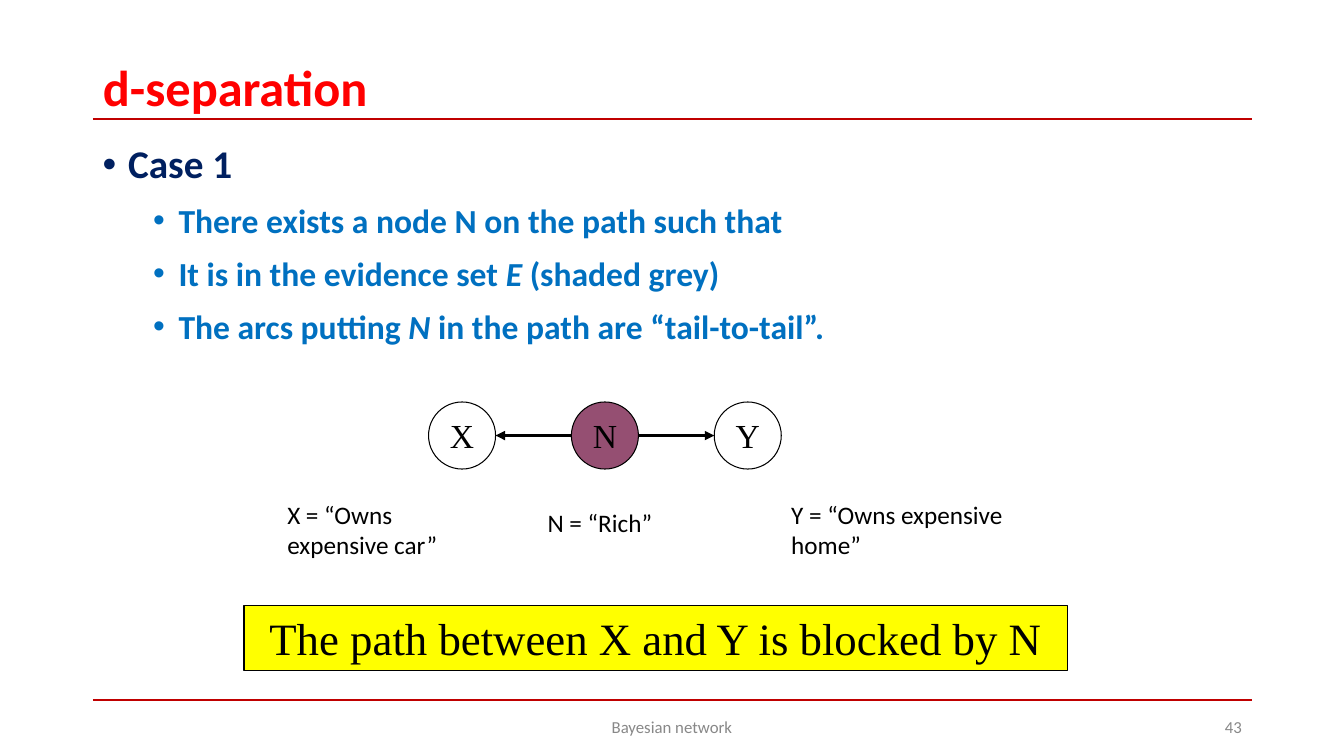
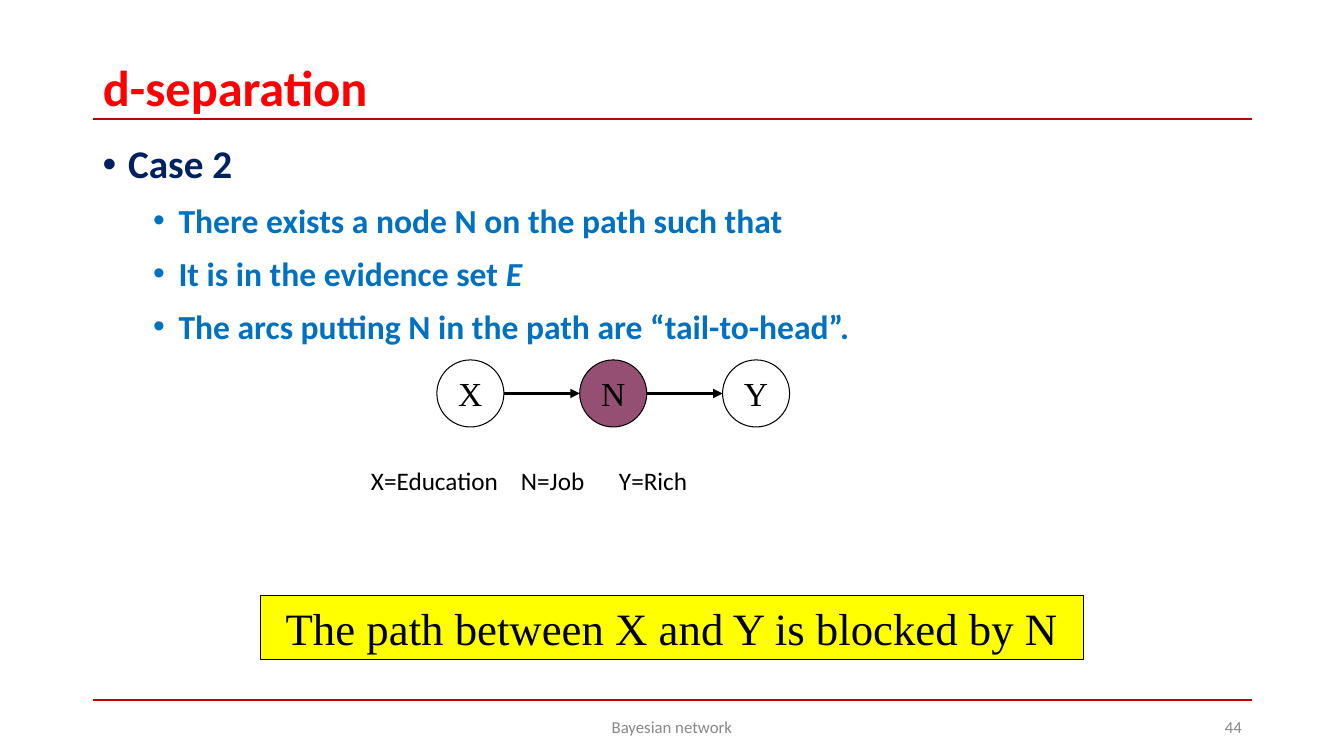
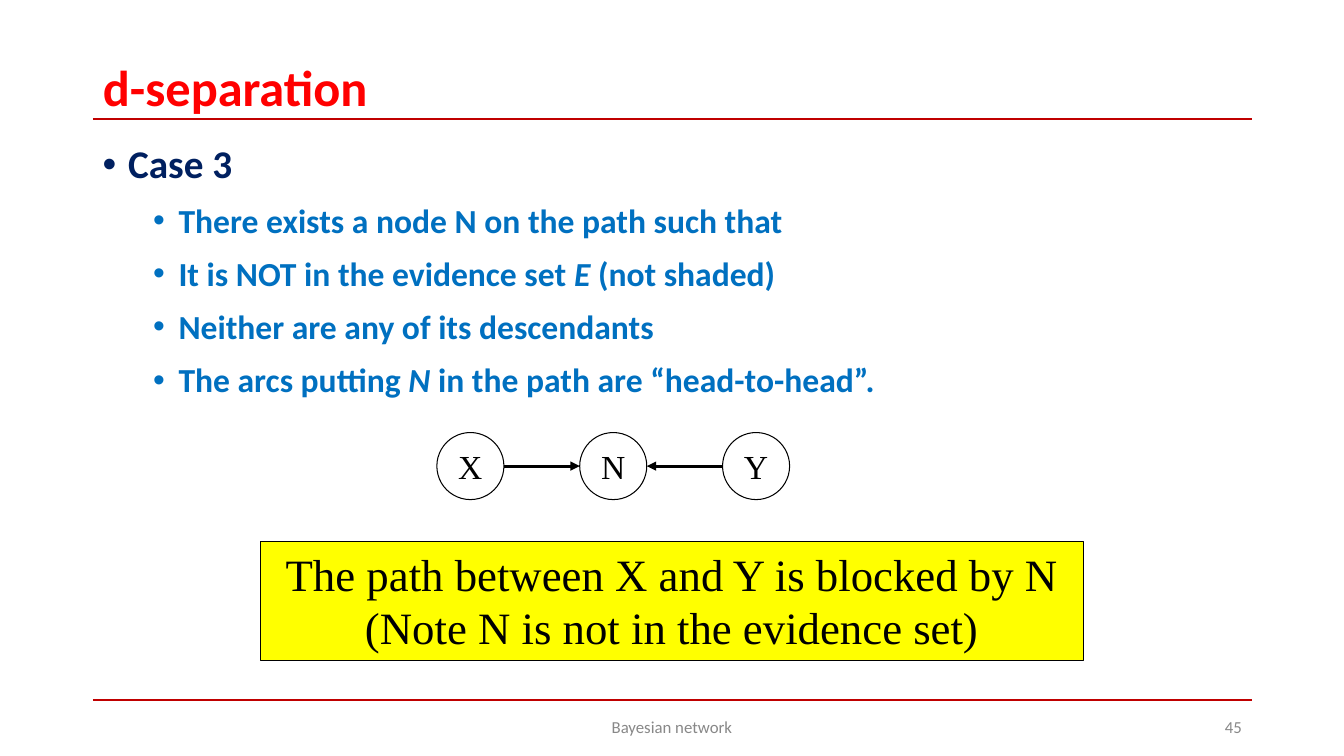
"""Build three slides on the blocking cases of d-separation."""
from dataclasses import dataclass

from lxml import etree
from pptx import Presentation
from pptx.dml.color import RGBColor
from pptx.enum import shapes, text
from pptx.oxml import ns
from pptx.util import Cm, Pt


@dataclass(frozen=True)
class Theme:
    """Colours, fonts and type sizes of the deck."""
    title: str = "FF0000"
    rule: str = "C00000"
    heading: str = "002060"
    point: str = "0070C0"
    footer: str = "888888"
    ink: str = "000000"
    evidence: str = "954F72"
    callout: str = "FFFF00"
    sans: str = "Calibri"
    serif: str = "Times New Roman"
    title_size: int = 36
    heading_size: int = 28
    point_size: int = 24
    node_size: int = 24
    callout_size: int = 32
    label_size: int = 18
    footer_size: int = 12


THEME = Theme()
TITLE = "d-separation"
FOOTER = "Bayesian network"
FIRST_NUMBER = 43
BLOCKED = "The path between X and Y is blocked by N"
EXISTS = "There exists a node N on the path such that"
MARGIN, CONTENT_WIDTH = 2.34, 29.21
RULE_TOPS = (3, 17.65)
NODES = "XNY"
NODE_SIZE, NODE_PITCH = 1.69, 3.6
CALLOUT_WIDTH = 20.75

CASES = [
    dict(
        heading="Case 1",
        points=[EXISTS, "It is in the evidence set *E *(shaded grey)",
                "The arcs putting *N* in the path are “tail-to-tail”."],
        nodes_at=(10.8, 10.13), arcs=["NX", "NY"], evidence="N",
        callout=(BLOCKED, 6.15, 15.27, 1.63),
        labels=[("X = “Owns expensive car”", 6.99, 12.45, 5.72),
                ("Y = “Owns expensive home”", 19.69, 12.45, 6.99),
                ("N = “Rich”", 13.55, 12.67, 5.5)],
    ),
    dict(
        heading="Case 2",
        points=[EXISTS, "It is in the evidence set *E*",
                "The arcs putting N in the path are “tail-to-head”."],
        nodes_at=(11.01, 9.07), arcs=["XN", "NY"], evidence="N",
        callout=(BLOCKED, 6.56, 15, 1.63),
        labels=[("X=Education\tN=Job\tY=Rich", 9.1, 11.6, 13.97)],
    ),
    dict(
        heading="Case 3",
        points=[EXISTS, "It is NOT in the evidence set *E *(not shaded)",
                "Neither are any of its descendants",
                "The arcs putting *N* in the path are “head-to-head”."],
        nodes_at=(11.01, 10.9), arcs=["XN", "YN"], evidence="",
        callout=(BLOCKED + " (Note N is not in the evidence set)", 6.56, 13.64, 3),
        labels=[],
    ),
]
LABEL_TABS = (3.78, 6.25)


def format_runs(paragraph, size, color, font=THEME.sans, bold=False):
    for run in paragraph.runs:
        run.font.size = Pt(size)
        run.font.name = font
        run.font.bold = bold
        run.font.color.rgb = RGBColor.from_string(color)


def add_element(parent, tag, **attributes):
    return etree.SubElement(parent, ns.qn(tag), attributes)


def add_text(slide, content, left, top, width, height, size, color,
             align=text.PP_ALIGN.LEFT, anchor=text.MSO_ANCHOR.TOP):
    shape = slide.shapes.add_textbox(Cm(left), Cm(top), Cm(width), Cm(height))
    frame = shape.text_frame
    frame.word_wrap = True
    frame.vertical_anchor = anchor
    frame.text = content
    paragraph = frame.paragraphs[0]
    paragraph.alignment = align
    if "\t" in content:
        tabs = add_element(paragraph._p.get_or_add_pPr(), "a:tabLst")
        for position in LABEL_TABS:
            add_element(tabs, "a:tab", pos=str(Cm(position)), algn="l")
    format_runs(paragraph, size, color)


def add_line(slide, start, end, color, width, arrow=False):
    line = slide.shapes.add_connector(
        shapes.MSO_CONNECTOR.STRAIGHT, *map(Cm, start + end))
    line.line.color.rgb = RGBColor.from_string(color)
    line.line.width = Pt(width)
    if arrow:
        add_element(line.line._get_or_add_ln(), "a:tailEnd", type="triangle")
    add_element(line._element.spPr, "a:effectLst")


def add_box(slide, kind, content, left, top, width, height, size, anchor, fill=None):
    shape = slide.shapes.add_shape(kind, Cm(left), Cm(top), Cm(width), Cm(height))
    shape.shadow.inherit = False
    if fill:
        shape.fill.solid()
        shape.fill.fore_color.rgb = RGBColor.from_string(fill)
    else:
        shape.fill.background()
    shape.line.color.rgb = RGBColor.from_string(THEME.ink)
    shape.line.width = Pt(0.75)
    frame = shape.text_frame
    frame.word_wrap = True
    frame.vertical_anchor = anchor
    frame.text = content
    paragraph = frame.paragraphs[0]
    paragraph.alignment = text.PP_ALIGN.CENTER
    format_runs(paragraph, size, THEME.ink, THEME.serif)


def add_frame(slide, number):
    for top in RULE_TOPS:
        add_line(slide, (MARGIN, top), (MARGIN + CONTENT_WIDTH, top), THEME.rule, 1.5)
    title = slide.shapes.title
    title.left, title.top, title.width, title.height = map(
        Cm, (MARGIN, 1.55, CONTENT_WIDTH, 1.47))
    frame = title.text_frame
    frame.text = TITLE
    frame.word_wrap = True
    frame.auto_size = text.MSO_AUTO_SIZE.NONE
    frame.vertical_anchor = text.MSO_ANCHOR.MIDDLE
    paragraph = frame.paragraphs[0]
    paragraph.alignment = text.PP_ALIGN.LEFT
    paragraph.line_spacing = 0.9
    format_runs(paragraph, THEME.title_size, THEME.title, bold=True)
    for content, left, width, align in (
            (FOOTER, 11.22, 11.43, text.PP_ALIGN.CENTER),
            (str(number), 23.93, 7.62, text.PP_ALIGN.RIGHT)):
        add_text(slide, content, left, 17.8, width, 1.01, THEME.footer_size,
                 THEME.footer, align, text.MSO_ANCHOR.MIDDLE)


def add_bullets(slide, heading, points):
    body = slide.shapes.add_textbox(
        Cm(MARGIN), Cm(3.53), Cm(CONTENT_WIDTH), Cm(13.64))
    frame = body.text_frame
    frame.word_wrap = True
    for index, content in enumerate([heading] + points):
        paragraph = frame.add_paragraph() if index else frame.paragraphs[0]
        size, color, indent = ((THEME.point_size, THEME.point, 1.91) if index
                               else (THEME.heading_size, THEME.heading, 0.64))
        properties = paragraph._p.get_or_add_pPr()
        properties.set("marL", str(Cm(indent)))
        properties.set("indent", str(Cm(-0.64)))
        add_element(add_element(properties, "a:buClr"), "a:srgbClr", val=color)
        add_element(properties, "a:buFont", typeface="Arial")
        add_element(properties, "a:buChar", char="•")
        paragraph.line_spacing = 0.9
        if index:
            paragraph.level = 1
            paragraph.space_before = Pt(12)
        for position, part in enumerate(content.split("*")):
            if part:
                run = paragraph.add_run()
                run.text = part
                run.font.italic = position % 2 == 1
        format_runs(paragraph, size, color, bold=True)


def add_network(slide, origin, arcs, evidence):
    left, top = origin
    lefts = {name: left + index * NODE_PITCH for index, name in enumerate(NODES)}
    for name in NODES:
        add_box(slide, shapes.MSO_SHAPE.OVAL, name, lefts[name], top, NODE_SIZE,
                NODE_SIZE, THEME.node_size, text.MSO_ANCHOR.MIDDLE,
                THEME.evidence if name in evidence else None)
    middle = top + NODE_SIZE / 2
    for source, target in arcs:
        start, end = lefts[source], lefts[target]
        if start < end:
            start += NODE_SIZE
        else:
            end += NODE_SIZE
        add_line(slide, (start, middle), (end, middle), THEME.ink, 2.25, arrow=True)


def main():
    presentation = Presentation()
    presentation.slide_width, presentation.slide_height = Cm(33.87), Cm(19.05)
    for number, case in enumerate(CASES, FIRST_NUMBER):
        slide = presentation.slides.add_slide(presentation.slide_layouts[5])
        add_frame(slide, number)
        add_bullets(slide, case["heading"], case["points"])
        add_network(slide, case["nodes_at"], case["arcs"], case["evidence"])
        content, left, top, height = case["callout"]
        add_box(slide, shapes.MSO_SHAPE.RECTANGLE, content, left, top, CALLOUT_WIDTH,
                height, THEME.callout_size, text.MSO_ANCHOR.TOP, THEME.callout)
        for content, left, top, width in case["labels"]:
            add_text(slide, content, left, top, width, 1.01, THEME.label_size, THEME.ink)
    presentation.save("out.pptx")


if __name__ == "__main__":
    main()
